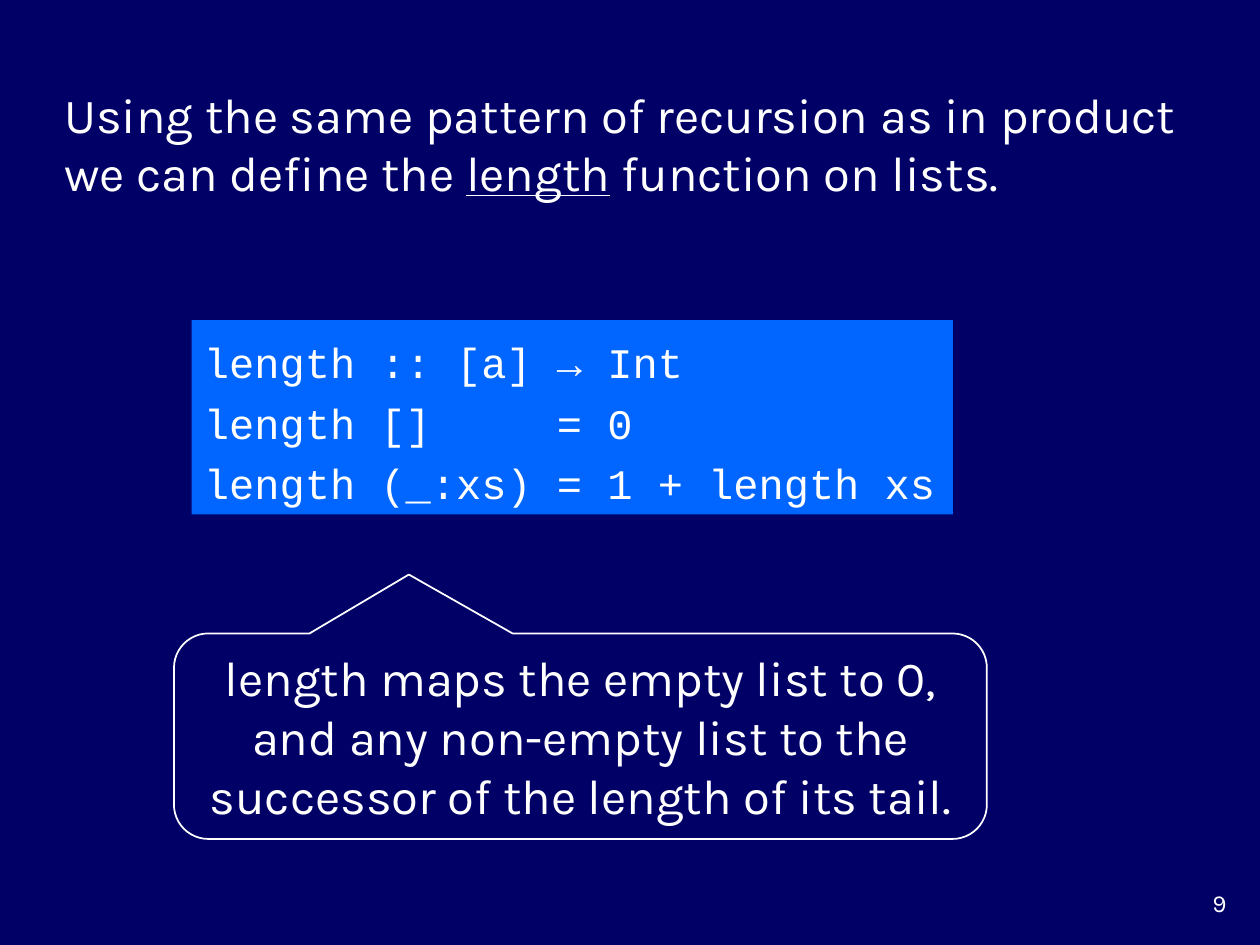
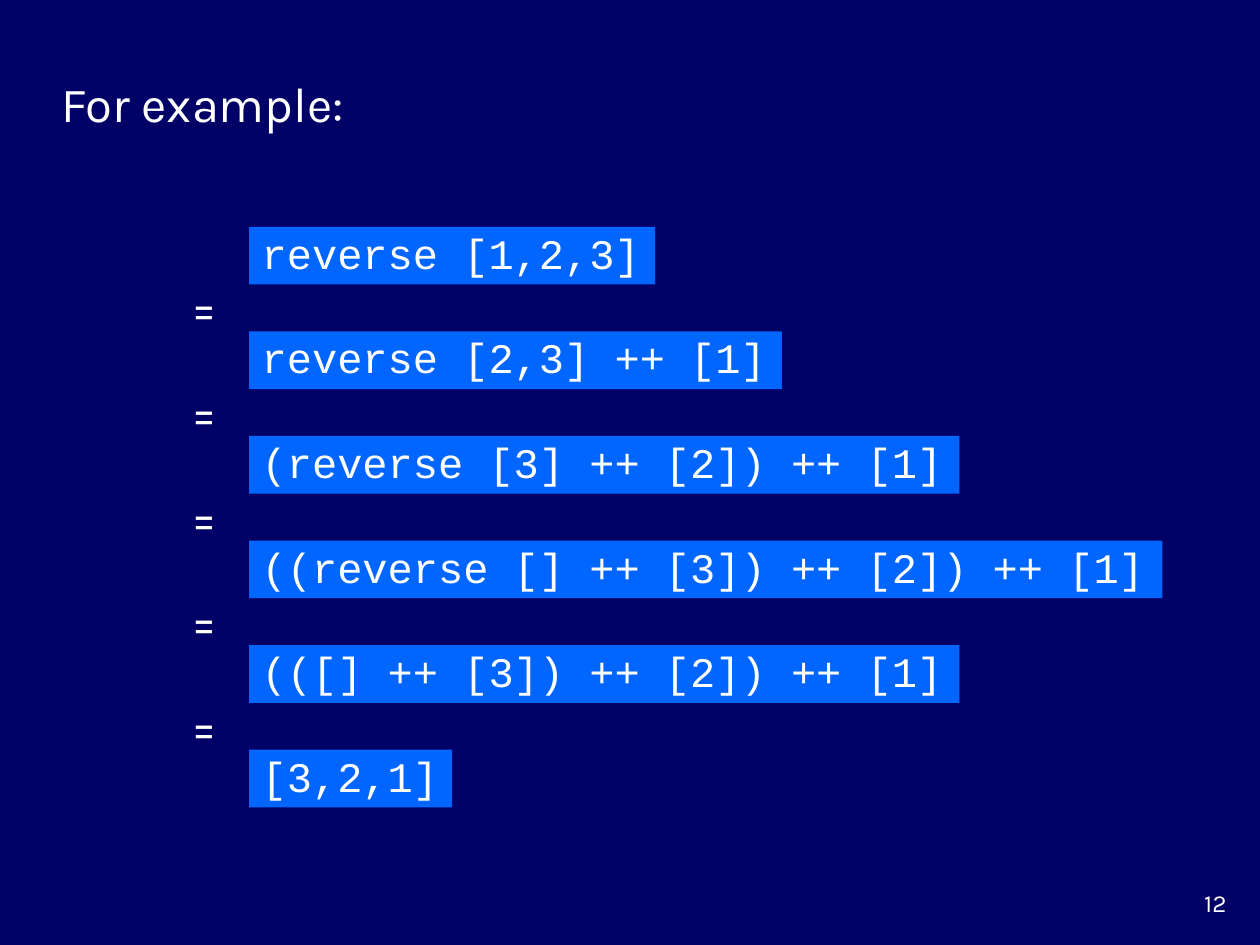
from pptx import Presentation
from pptx.dml.color import RGBColor
from pptx.enum.shapes import MSO_SHAPE
from pptx.enum.text import MSO_ANCHOR, MSO_AUTO_SIZE, PP_ALIGN
from pptx.util import Pt

LEFT, CENTER, RIGHT = PP_ALIGN.LEFT, PP_ALIGN.CENTER, PP_ALIGN.RIGHT
TOP, MIDDLE = MSO_ANCHOR.TOP, MSO_ANCHOR.MIDDLE
GROW, FIXED = MSO_AUTO_SIZE.SHAPE_TO_FIT_TEXT, MSO_AUTO_SIZE.NONE
RECTANGLE = MSO_SHAPE.RECTANGLE
CALLOUT = MSO_SHAPE.ROUNDED_RECTANGULAR_CALLOUT

COLORS = {"background": "000066", "code": "0066FF", "text": "FFFFFF"}
PROSE, CODE = "Karla", "Courier New"
PROSE_SIZE, CODE_SIZE, NUMBER_SIZE = 28, 24, 14
TITLE_ONLY = 5
CODE_CHAR_WIDTH = 14.5
CODE_PADDING = 14.4


def color(name):
    return RGBColor.from_string(COLORS[name])


def points(box):
    return [Pt(length) for length in box]


def write(shape, lines, font=PROSE, size=PROSE_SIZE, align=LEFT,
          spacing=1.0, anchor=MIDDLE, grow=GROW, wrap=True):
    frame = shape.text_frame
    frame.text = "\n".join(lines)
    frame.word_wrap = wrap
    frame.auto_size = grow
    frame.vertical_anchor = anchor
    for para in frame.paragraphs:
        para.alignment = align
        para.line_spacing = spacing
        para.space_before = Pt(0)
        para.font.name = font
        para.font.size = Pt(size)
        para.font.color.rgb = color("text")


def add_page(deck, number):
    page = deck.slides.add_slide(deck.slide_layouts[TITLE_ONLY])
    page.background.fill.solid()
    page.background.fill.fore_color.rgb = color("background")
    number_box = page.shapes.add_textbox(*points((660, 504, 48, 24)))
    write(number_box, [str(number)], size=NUMBER_SIZE, align=RIGHT,
          anchor=TOP, grow=FIXED)
    return page


def place_title(page, box, text, underlined=None, wrap=True):
    title = page.shapes.title
    title.left, title.top, title.width, title.height = points(box)
    write(title, [text], wrap=wrap)
    if underlined:
        before, after = text.split(underlined)
        para = title.text_frame.paragraphs[0]
        para.runs[0].text = before
        span = para.add_run()
        span.text = underlined
        span.font.underline = True
        para.add_run().text = after


def add_code(page, box, lines, spacing):
    block = page.shapes.add_shape(RECTANGLE, *points(box))
    block.shadow.inherit = False
    block.fill.solid()
    block.fill.fore_color.rgb = color("code")
    block.line.fill.background()
    write(block, lines, CODE, CODE_SIZE, spacing=spacing, wrap=False)


def add_callout(page, box, text):
    callout = page.shapes.add_shape(CALLOUT, *points(box))
    callout.shadow.inherit = False
    callout.fill.background()
    callout.line.color.rgb = color("text")
    callout.line.width = Pt(1)
    for index, value in enumerate((-0.211, -0.787, 0.167)):
        callout.adjustments[index] = value
    write(callout, [text], align=CENTER)


def add_derivation(page, box, steps):
    left, top, height = box
    row_height, sign_width, sign_height = 33, 34.5, 41
    sign_gap, sign_rise = 8.5, 34.8
    pitch = (height - row_height) / (len(steps) - 1)
    code_left = left + sign_width + sign_gap
    for index, step in enumerate(steps):
        row_top = top + index * pitch
        width = len(step) * CODE_CHAR_WIDTH + CODE_PADDING
        add_code(page, (code_left, row_top, width, row_height), [step], 0.9)
        if index:
            sign = page.shapes.add_textbox(
                *points((left, row_top - sign_rise, sign_width, sign_height)))
            write(sign, ["="], align=CENTER, wrap=False)


def build_length_page(deck):
    page = add_page(deck, 9)
    place_title(page, (29.5, 44.6, 651, 74.2),
                "Using the same pattern of recursion as in product "
                "we can define the length function on lists.", "length")
    add_code(page, (109.5, 183, 435, 111),
             ["length :: [a] → Int",
              "length []     = 0",
              "length (_:xs) = 1 + length xs"], 1.2)
    add_callout(page, (99.4, 362, 464.5, 117.4),
                "length maps the empty list to 0, and any non-empty list "
                "to the successor of the length of its tail.")


def build_reverse_page(deck):
    page = add_page(deck, 12)
    place_title(page, (28, 38.2, 176.4, 41), "For example:", wrap=False)
    add_derivation(page, (99.4, 129.6, 331.8),
                   ["reverse [1,2,3]",
                    "reverse [2,3] ++ [1]",
                    "(reverse [3] ++ [2]) ++ [1]",
                    "((reverse [] ++ [3]) ++ [2]) ++ [1]",
                    "(([] ++ [3]) ++ [2]) ++ [1]",
                    "[3,2,1]"])


deck = Presentation()
deck.slide_width, deck.slide_height = Pt(720), Pt(540)
build_length_page(deck)
build_reverse_page(deck)
deck.save("out.pptx")
